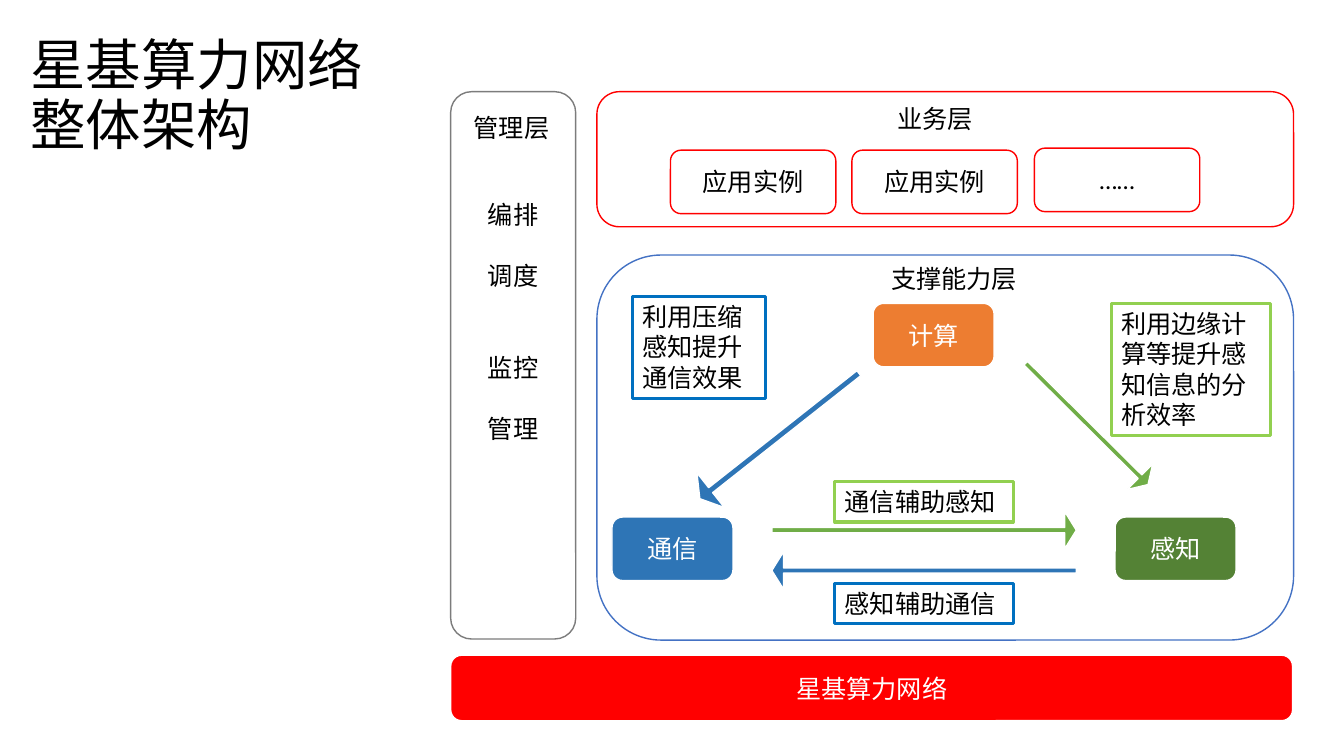
import pptx
import pptx.util
import pptx.dml.color
import pptx.enum.shapes
import pptx.enum.text

PX = 9144
SHAPE = pptx.enum.shapes.MSO_SHAPE
ALIGN = pptx.enum.text.PP_ALIGN
ANCHOR = pptx.enum.text.MSO_ANCHOR
FIT = pptx.enum.text.MSO_AUTO_SIZE
COLORS = {
    "black": "000000", "white": "FFFFFF", "red": "FF0000", "gray": "7C7C7C",
    "orange": "ED7D31", "blue": "2E75B6", "edge_blue": "0070C0",
    "layer_blue": "4472C4", "green": "70AD47", "dark_green": "548235",
    "light_green": "92D050",
}


def rgb(name):
    return pptx.dml.color.RGBColor.from_string(COLORS[name])


def add_item(text, at, kind=None, fill=None, line=None, width=1, size=18,
             color="black", align=ALIGN.CENTER, anchor=ANCHOR.MIDDLE,
             fit=FIT.NONE, spacing=None):
    box = [v * PX for v in at]
    if kind == "title":
        sp = s.shapes.title
        sp.left, sp.top, sp.width, sp.height = box
    elif kind is None:
        sp = s.shapes.add_textbox(*box)
    else:
        sp = s.shapes.add_shape(kind, *box)
        sp.shadow.inherit = False
        if fill:
            sp.fill.solid()
            sp.fill.fore_color.rgb = rgb(fill)
        else:
            sp.fill.background()
        sp.line.color.rgb = rgb(line)
        sp.line.width = pptx.util.Pt(width)
    if text:
        tf = sp.text_frame
        tf.text = text
        tf.word_wrap = True
        tf.auto_size = fit
        tf.vertical_anchor = anchor
        for p in tf.paragraphs:
            p.alignment = align
            p.line_spacing = spacing
            for r in p.runs:
                r.font.name = "Calibri"
                r.font.size = pptx.util.Pt(size)
                r.font.color.rgb = rgb(color)
    return sp


prs = pptx.Presentation()
prs.slide_width = 1333 * PX
prs.slide_height = 750 * PX
s = prs.slides.add_slide(prs.slide_layouts[5])

add_item("星基算力网络\v整体架构", (20, 24, 355, 145), "title", size=39.6,
         align=ALIGN.LEFT, spacing=0.9)

for text, at, fill in [
    ("计算", (866, 301, 120, 63), "orange"),
    ("通信", (607, 513, 120, 63), "blue"),
    ("感知", (1106, 513, 120, 63), "dark_green"),
    ("星基算力网络", (447, 650, 835, 65), "red"),
]:
    add_item(text, at, SHAPE.ROUNDED_RECTANGLE, fill=fill, line="white", color="white")

for at, angle, fill in [
    ((1060, 335, 36, 171), 314.8, "green"),
    ((898, 375, 37, 302), 270, "green"),
    ((898, 415, 37, 302), 90, "blue"),
    ((751, 332, 44, 201), 51.7, "blue"),
]:
    arrow = add_item("", at, SHAPE.DOWN_ARROW, fill=fill, line="white")
    arrow.rotation = angle
    arrow.adjustments[0] = 0.144
    arrow.adjustments[1] = 0.311

for text, at, line in [
    ("通信辅助感知", (828, 478, 177, 40), "light_green"),
    ("利用边缘计算等提升感知信息的分析效率", (1102, 301, 158, 131), "light_green"),
    ("利用压缩感知提升通信效果", (627, 294, 132, 101), "edge_blue"),
    ("感知辅助通信", (828, 579, 177, 40), "edge_blue"),
]:
    add_item(text, at, SHAPE.RECTANGLE, line=line, width=2.25, align=ALIGN.LEFT,
             anchor=ANCHOR.TOP, fit=FIT.SHAPE_TO_FIT_TEXT)

management = add_item("编排\n调度\n监控\n管理", (447, 91, 124, 543),
                      SHAPE.ROUNDED_RECTANGLE, line="gray", anchor=ANCHOR.TOP)
management.text_frame.margin_top = 101 * PX
for p, gap in zip(management.text_frame.paragraphs[1:], (22, 44, 22)):
    p.space_before = pptx.util.Pt(gap)

for at, line in [((592, 253, 691, 382), "layer_blue"), ((592, 91, 691, 134), "red")]:
    add_item("", at, SHAPE.ROUNDED_RECTANGLE, line=line)

for text, x, y in [("支撑能力层", 874, 256), ("业务层", 880, 98), ("管理层", 460, 107)]:
    add_item(text, (x, y, 147, 40), align=ALIGN.LEFT, anchor=ANCHOR.TOP,
             fit=FIT.SHAPE_TO_FIT_TEXT)

for text, x, y in [("应用实例", 665, 149), ("应用实例", 845, 149), ("……", 1026, 147)]:
    add_item(text, (x, y, 164, 63), SHAPE.ROUNDED_RECTANGLE, line="red")

prs.save("out.pptx")
